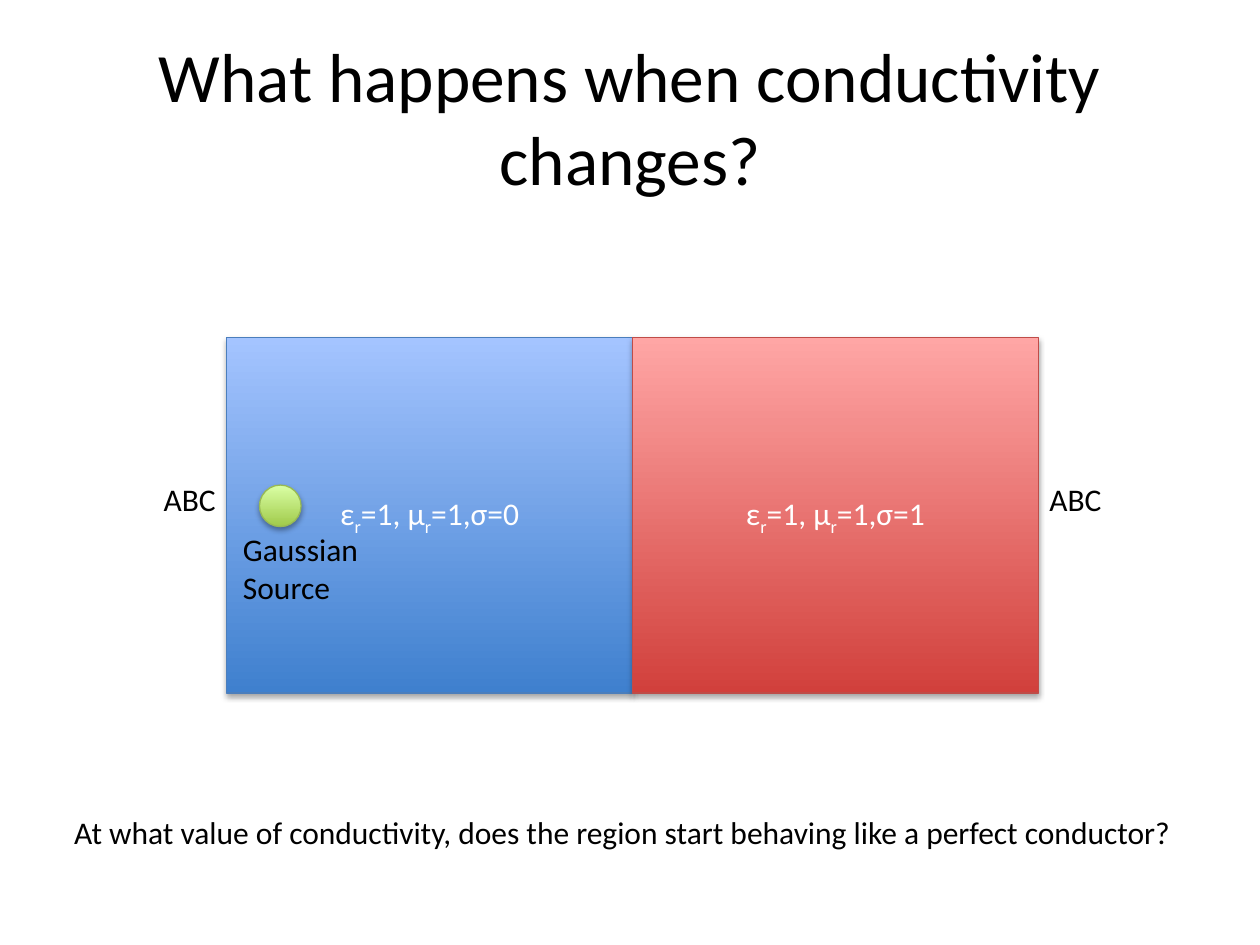
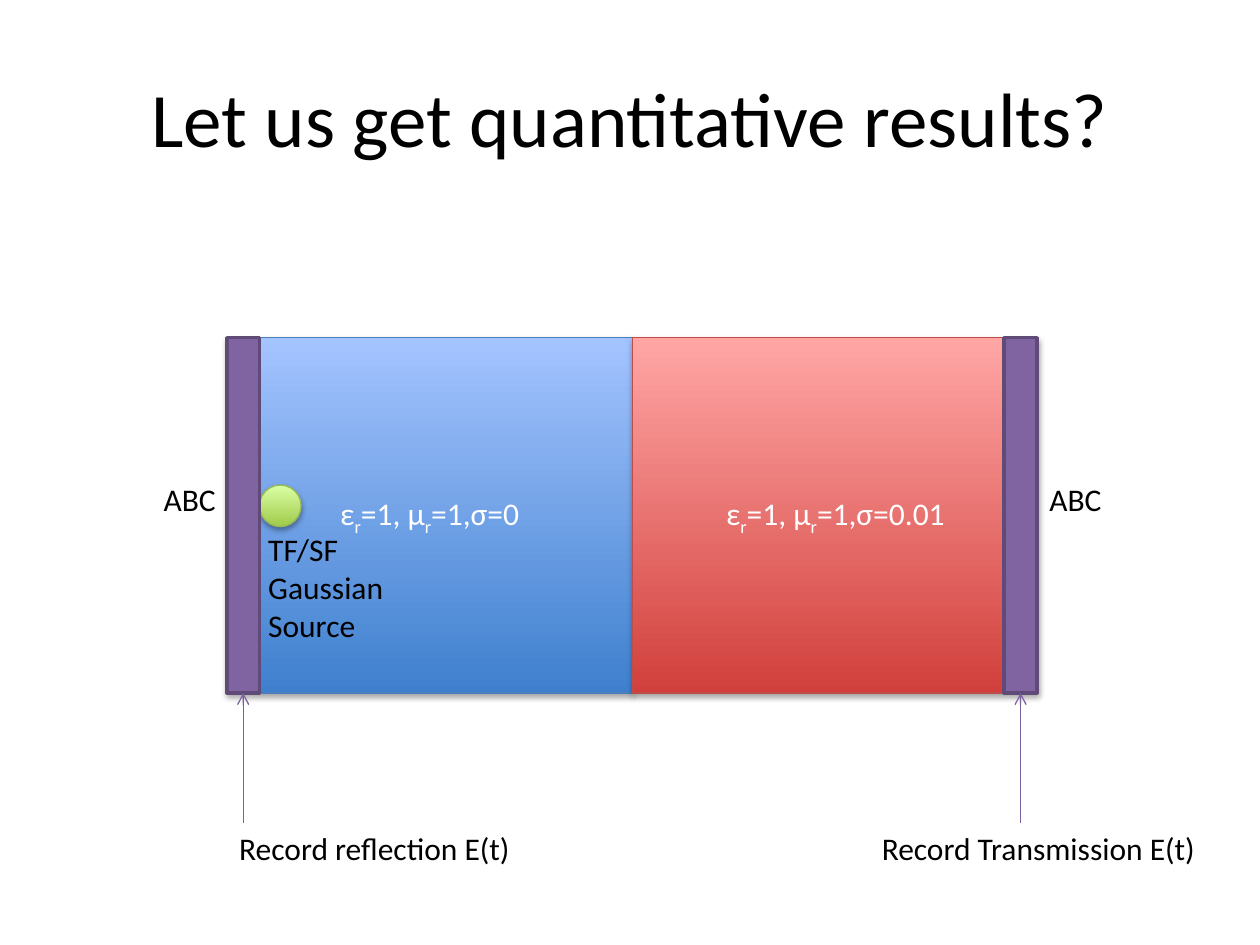
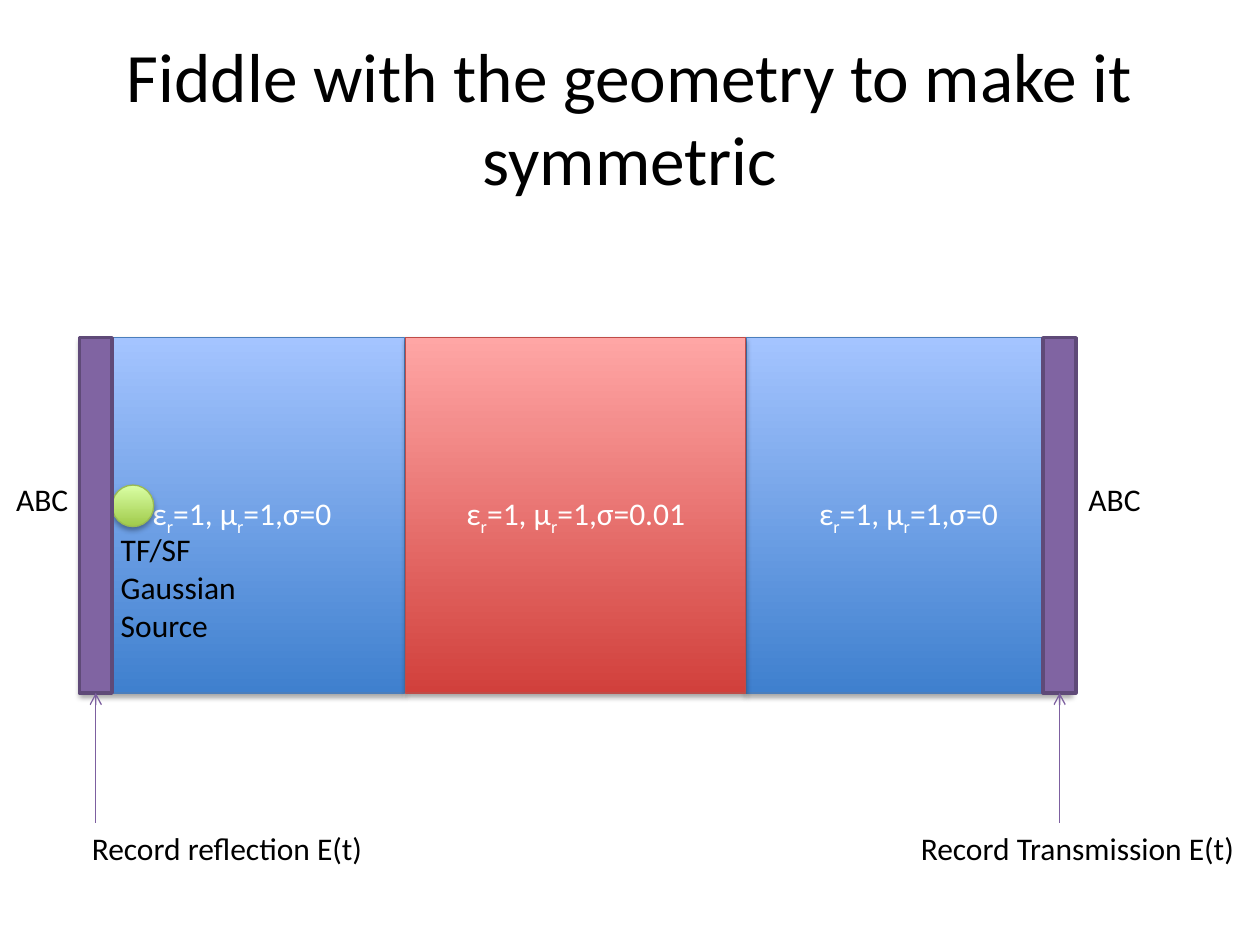
from lxml import etree
from pptx import Presentation, util as u
from pptx.dml.color import RGBColor
from pptx.enum import shapes, text
from pptx.oxml.ns import qn

COLORS = {
    "black": "000000",
    "white": "FFFFFF",
    "bar": "8064A2",
    "bar line": "5F4A78",
    "arrow": "7D60A0",
}
GRADIENTS = {
    "blue": ("3F80CE", "A4C4FF", "4B7EBC"),
    "red": ("D1403C", "FFA6A5", "BF4C48"),
    "green": ("A0CA4A", "DAFFA5", "98B955"),
}
TOP, HEIGHT = 2.68, 2.82
BAR_WIDTH = 0.26
LABEL_TOP = 6.53
FORMULA = [("ε", False), ("r", True), ("=1, μ", False), ("r", True)]

SLIDES = [
    {
        "title": "What happens when conductivity changes?", "size": 39.6,
        "left": 1.8, "right": 8.23,
        "regions": [(1.8, 3.22, "blue", "0"), (5.02, 3.22, "red", "1")],
        "source": ["Gaussian", "Source"], "source offset": 0.03,
        "recorded": False,
    },
    {
        "title": "Let us get quantitative results?", "size": 44,
        "left": 1.8, "right": 8.23,
        "regions": [(1.8, 3.22, "blue", "0"), (5.02, 3.22, "red", "0.01")],
        "source": ["TF/SF", "Gaussian", "Source"], "source offset": 0.23,
        "recorded": True,
    },
    {
        "title": "Fiddle with the geometry to make it symmetric", "size": 39.6,
        "left": 0.63, "right": 8.54,
        "regions": [(5.92, 2.58, "blue", "0"), (0.63, 2.58, "blue", "0"),
                    (3.22, 2.7, "red", "0.01")],
        "source": ["TF/SF", "Gaussian", "Source"], "source offset": 0.23,
        "recorded": True,
    },
]


def add_text(slide, lines, left, top, width, height, size=18, title=False):
    box = slide.shapes.add_textbox(*map(u.Inches, (left, top, width, height)))
    frame = box.text_frame
    frame.word_wrap = title
    if title:
        frame.vertical_anchor = text.MSO_ANCHOR.MIDDLE
    else:
        frame.auto_size = text.MSO_AUTO_SIZE.SHAPE_TO_FIT_TEXT
    for index, line in enumerate(lines):
        paragraph = frame.add_paragraph() if index else frame.paragraphs[0]
        paragraph.alignment = text.PP_ALIGN.CENTER if title else text.PP_ALIGN.LEFT
        run = paragraph.add_run()
        run.text = line
        run.font.size = u.Pt(size)
        run.font.name = "Calibri"
        run.font.color.rgb = RGBColor.from_string(COLORS["black"])


def add_glossy(slide, kind, left, top, width, height, gradient):
    shape = slide.shapes.add_shape(kind, *map(u.Inches, (left, top, width, height)))
    *stops, line = GRADIENTS[gradient]
    shape.fill.gradient()
    shape.fill.gradient_angle = 90
    for stop, color, position in zip(shape.fill.gradient_stops, stops, (0, 1)):
        stop.color.rgb = RGBColor.from_string(color)
        stop.position = position
    shape.line.color.rgb = RGBColor.from_string(line)
    shape.line.width = u.Pt(0.75)
    shape.shadow.inherit = False
    effects = shape.element.spPr.find(qn("a:effectLst"))
    shadow = etree.SubElement(effects, qn("a:outerShdw"), blurRad="40000",
                              dist="23000", dir="5400000", rotWithShape="0")
    color = etree.SubElement(shadow, qn("a:srgbClr"), val=COLORS["black"])
    etree.SubElement(color, qn("a:alpha"), val="35000")
    return shape


presentation = Presentation()
presentation.slide_width = u.Inches(10)
presentation.slide_height = u.Inches(7.5)

for content in SLIDES:
    slide = presentation.slides.add_slide(presentation.slide_layouts[6])
    left, right = content["left"], content["right"]
    add_text(slide, [content["title"]], 0.5, 0.3, 9, 1.25, content["size"], title=True)

    for region_left, width, gradient, sigma in content["regions"]:
        region = add_glossy(slide, shapes.MSO_SHAPE.RECTANGLE,
                            region_left, TOP, width, HEIGHT, gradient)
        region.text_frame.vertical_anchor = text.MSO_ANCHOR.MIDDLE
        paragraph = region.text_frame.paragraphs[0]
        paragraph.alignment = text.PP_ALIGN.CENTER
        for part, subscript in FORMULA + [(f"=1,σ={sigma}", False)]:
            run = paragraph.add_run()
            run.text = part
            run.font.size = u.Pt(18)
            run.font.name = "Calibri"
            run.font.color.rgb = RGBColor.from_string(COLORS["white"])
            if subscript:
                run.font._element.set("baseline", "-25000")

    for label_left in (left - 0.6, right):
        add_text(slide, ["ABC"], label_left, 3.76, 0.62, 0.4)
    add_glossy(slide, shapes.MSO_SHAPE.OVAL, left + BAR_WIDTH, 3.85, 0.33, 0.33, "green")
    source = content["source"]
    add_text(slide, source, left + content["source offset"], 4.16, 1.12,
             0.1 + 0.3 * len(source))

    if not content["recorded"]:
        add_text(slide, ["At what value of conductivity, does the region start "
                         "behaving like a perfect conductor?"], 0.49, 6.4, 9.06, 0.4)
        continue

    recorders = [
        (left, "Record reflection E(t)", left, 2.39),
        (right - BAR_WIDTH, "Record Transmission E(t)", right - 1.33, 2.74),
    ]
    for bar_left, label, label_left, label_width in recorders:
        bar = slide.shapes.add_shape(
            shapes.MSO_SHAPE.RECTANGLE,
            *map(u.Inches, (bar_left, TOP, BAR_WIDTH, HEIGHT)))
        bar.shadow.inherit = False
        bar.fill.solid()
        bar.fill.fore_color.rgb = RGBColor.from_string(COLORS["bar"])
        bar.line.color.rgb = RGBColor.from_string(COLORS["bar line"])
        bar.line.width = u.Pt(2)
        add_text(slide, [label], label_left, LABEL_TOP, label_width, 0.4)

        center = u.Inches(bar_left + BAR_WIDTH / 2)
        arrow = slide.shapes.add_connector(
            shapes.MSO_CONNECTOR.STRAIGHT, center, u.Inches(LABEL_TOP),
            center, u.Inches(TOP + HEIGHT))
        arrow.end_connect(bar, 2)
        arrow.line.color.rgb = RGBColor.from_string(COLORS["arrow"])
        arrow.line.width = u.Pt(0.75)
        etree.SubElement(arrow.line._get_or_add_ln(), qn("a:tailEnd"), type="arrow")
        etree.SubElement(arrow._element.spPr, qn("a:effectLst"))

presentation.save("out.pptx")
